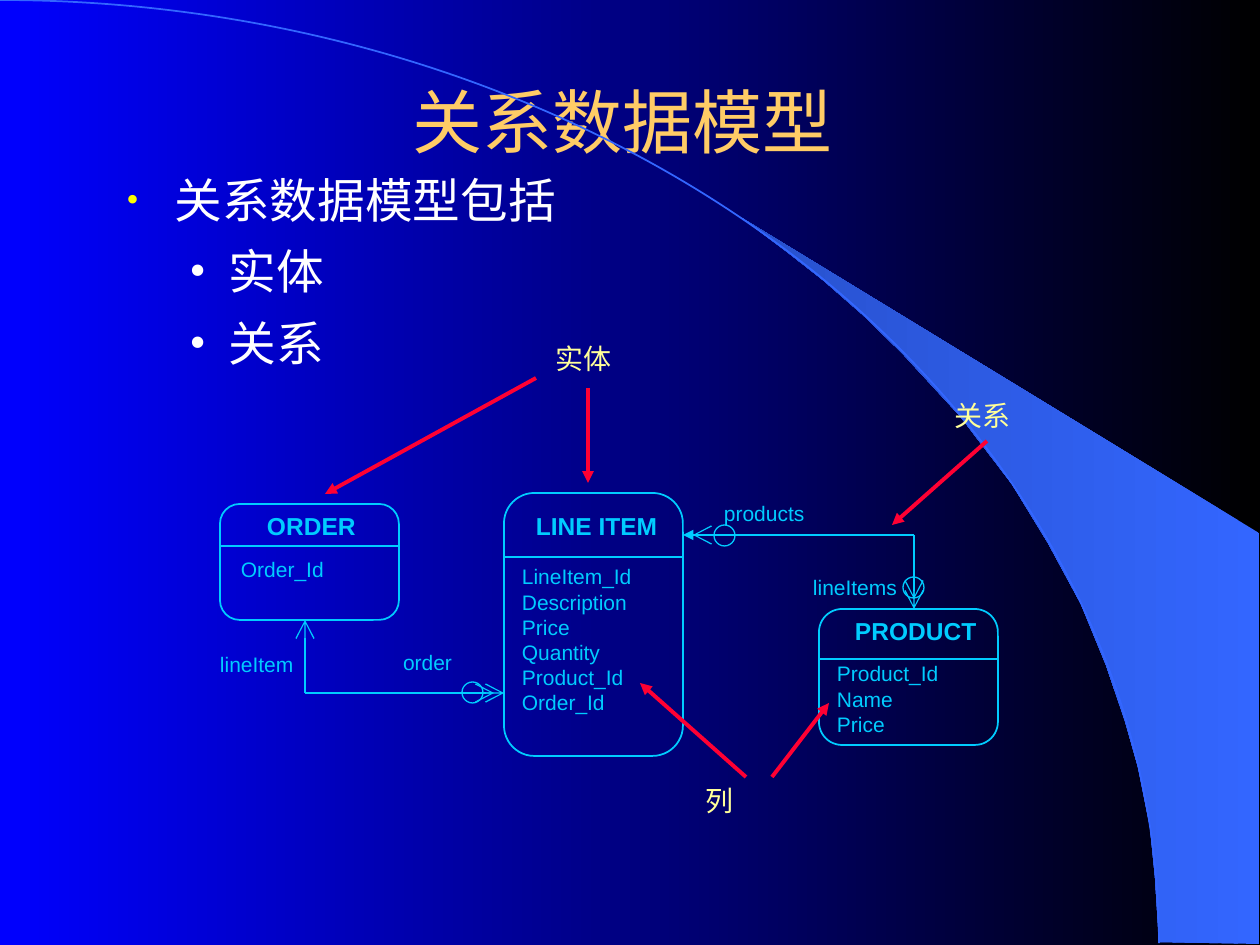
from dataclasses import dataclass

from lxml.etree import SubElement
from pptx import Presentation
from pptx.dml.color import RGBColor
from pptx.enum.shapes import MSO_CONNECTOR, MSO_SHAPE as Preset
from pptx.enum.text import MSO_ANCHOR as Anchor, MSO_AUTO_SIZE as AutoSize, PP_ALIGN as Align
from pptx.oxml.ns import qn
from pptx.util import Pt

PX = 914400 / 126  # EMU in one px
WIDTH, HEIGHT = 1260, 945
TITLE_ONLY = 5


@dataclass(frozen=True)
class Theme:
    black: str = "000000"
    blue: str = "0000FF"
    arc: str = "3366FF"
    arc_dark: str = "2851CC"
    title: str = "FFCC66"
    body: str = "FFFFFF"
    bullet: str = "FFFF00"
    diagram: str = "00CCFF"
    callout: str = "FFFF99"
    pointer: str = "FF0033"
    sans: str = "Arial"
    serif: str = "Times New Roman"
    title_size: float = 40
    body_size: float = 27.2
    callout_size: float = 16
    entity_size: float = 14
    label_size: float = 12


THEME = Theme()
TITLE = dict(name=THEME.sans, size=Pt(THEME.title_size)), THEME.title
BODY = dict(name=THEME.serif, size=Pt(THEME.body_size)), THEME.body
ENTITY = dict(name=THEME.sans, size=Pt(THEME.entity_size), bold=True), THEME.diagram
LABEL = dict(name=THEME.sans, size=Pt(THEME.label_size)), THEME.diagram
CALLOUT = dict(name=THEME.sans, size=Pt(THEME.callout_size)), THEME.callout

# Arrowheads
CROW_FOOT = dict(type="arrow", w="lg", len="lg")
TRIANGLE = dict(type="triangle")

# Name, frame, divider y, name box, attribute box, attributes
ENTITIES = [
    ("ORDER", (220, 504, 179, 116), 546, (252, 503, 118, 44),
     (226, 549, 112, 40), ["Order_Id"]),
    ("LINE ITEM", (504, 493, 179, 263), 557, (521, 503, 151, 44), (507, 556, 175, 166),
     ["LineItem_Id", "Description", "Price", "Quantity", "Product_Id", "Order_Id"]),
    ("PRODUCT", (819, 609, 179, 136), 659, (840, 608, 151, 44),
     (822, 653, 131, 91), ["Product_Id", "Name", "Price"]),
]
# Start, end, arrowhead at the end
RELATIONS = [
    ((305, 693), (305, 620), CROW_FOOT),
    ((305, 693), (504, 693), CROW_FOOT),
    ((315, 693), (494, 693), CROW_FOOT),
    ((914, 535), (683, 535), TRIANGLE),
    ((861, 535), (693, 535), CROW_FOOT),
    ((914, 535), (914, 609), CROW_FOOT),
    ((914, 567), (914, 599), CROW_FOOT),
]
RINGS = [(462, 682), (714, 525), (903, 577)]
RING_SIZE = 21
ROLES = [
    ("lineItem", (205, 644, 103, 40)),
    ("order", (388, 642, 79, 40)),
    ("products", (709, 493, 111, 40)),
    ("lineItems", (798, 567, 113, 40)),
]
CALLOUTS = [
    ("实体", (541, 334, 86, 49)),
    ("关系", (940, 391, 86, 49)),
    ("列", (690, 776, 58, 49)),
]
POINTERS = [
    ((588, 388), (588, 483)),
    ((536, 378), (325, 494)),
    ((987, 441), (892, 525)),
    ((746, 777), (640, 683)),
    ((772, 777), (829, 703)),
]
SWOOSH = [
    (1159, 942), (1259, 944), (1259, 533), (742, 218), (786, 251), (823, 280),
    (863, 315), (902, 353), (960, 416), (1012, 484), (1048, 543), (1081, 604),
    (1106, 665), (1125, 721), (1138, 767), (1150, 827), (1155, 877),
]
# Text, left margin, hanging indent, bullet colour, bullet size in percent
POINTS = [
    ("关系数据模型包括", 48, 48, THEME.bullet, 75),
    ("实体", 102, 39, THEME.body, 100),
    ("关系", 102, 39, THEME.body, 100),
]


def emu(*lengths):
    return [round(length * PX) for length in lengths]


def set_all(target, values):
    for name, value in values.items():
        setattr(target, name, value)


def set_gradient(fill, colors):
    fill.gradient()
    fill.gradient_angle = 180
    for stop, color in zip(fill.gradient_stops, colors):
        stop.color.rgb = RGBColor.from_string(color)


def set_line(shape, color, width):
    shape.line.color.rgb = RGBColor.from_string(color)
    shape.line.width = Pt(width)


def add_span(para, text, style):
    values, color = style
    span = para.add_run()
    span.text = text
    set_all(span.font, values)
    span.font.color.rgb = RGBColor.from_string(color)


def add_text(page, frame, lines, style):
    box = page.shapes.add_textbox(*emu(*frame))
    side, end = emu(15, 8)
    set_all(box.text_frame, dict(
        word_wrap=True, auto_size=AutoSize.NONE, margin_left=side,
        margin_right=0, margin_top=end, margin_bottom=end))
    for index, line in enumerate(lines):
        para = box.text_frame.add_paragraph() if index else box.text_frame.paragraphs[0]
        add_span(para, line, style)


def add_line(page, start, end, color, width, tip=None):
    line = page.shapes.add_connector(MSO_CONNECTOR.STRAIGHT, *emu(*start, *end))
    set_line(line, color, width)
    properties = line._element.spPr
    if tip:
        SubElement(properties.find(qn("a:ln")), qn("a:tailEnd"), **tip)
    SubElement(properties, qn("a:effectLst"))


def add_outline(page, preset, frame, color, width):
    shape = page.shapes.add_shape(preset, *emu(*frame))
    shape.shadow.inherit = False
    shape.fill.background()
    set_line(shape, color, width)
    return shape


def add_backdrop(page):
    set_gradient(page.background.fill, (THEME.black, THEME.blue))
    builder = page.shapes.build_freeform(*SWOOSH[0], scale=PX)
    builder.add_line_segments(SWOOSH[1:], close=True)
    swoosh = builder.convert_to_shape()
    swoosh.shadow.inherit = False
    set_gradient(swoosh.fill, (THEME.arc, THEME.arc_dark))
    swoosh.line.fill.background()
    # Upper right quarter of an ellipse centred on the lower left corner
    add_outline(page, Preset.ARC, (-1159, 0, 2318, 1886), THEME.arc, 1)


def add_title(page, text):
    title = page.shapes.title
    set_all(title, dict(zip(("left", "top", "width", "height"), emu(95, 84, 1071, 73))))
    set_all(title.text_frame, dict(
        vertical_anchor=Anchor.MIDDLE, word_wrap=True, auto_size=AutoSize.NONE))
    para = title.text_frame.paragraphs[0]
    para.alignment = Align.CENTER
    add_span(para, text, TITLE)


def add_points(page):
    frame = page.shapes.add_textbox(*emu(114, 165, 1104, 219)).text_frame
    frame.word_wrap = True
    for index, (text, margin, hanging, color, percent) in enumerate(POINTS):
        para = frame.add_paragraph() if index else frame.paragraphs[0]
        properties = para._p.get_or_add_pPr()
        properties.set("marL", str(emu(margin)[0]))
        properties.set("indent", str(emu(-hanging)[0]))
        SubElement(SubElement(properties, qn("a:buClr")), qn("a:srgbClr"), val=color)
        SubElement(properties, qn("a:buSzPct"), val=str(percent * 1000))
        SubElement(properties, qn("a:buFont"), typeface=THEME.serif)
        SubElement(properties, qn("a:buChar"), char="•")
        if index:
            para.space_before = Pt(8)
        add_span(para, text, BODY)


def add_entity(page, name, frame, divider, name_box, attribute_box, attributes):
    left, _, width, _ = frame
    box = add_outline(page, Preset.ROUNDED_RECTANGLE, frame, THEME.diagram, 1)
    box.adjustments[0] = 0.17
    add_line(page, (left, divider), (left + width, divider), THEME.diagram, 1)
    add_text(page, name_box, [name], ENTITY)
    add_text(page, attribute_box, attributes, LABEL)


def main():
    deck = Presentation()
    deck.slide_width, deck.slide_height = emu(WIDTH, HEIGHT)
    page = deck.slides.add_slide(deck.slide_layouts[TITLE_ONLY])
    add_backdrop(page)
    add_title(page, "关系数据模型 ")
    add_points(page)
    # Entities and the relations between them
    for entity in ENTITIES:
        add_entity(page, *entity)
    for start, end, tip in RELATIONS:
        add_line(page, start, end, THEME.diagram, 0.75, tip)
    for corner in RINGS:
        add_outline(page, Preset.FLOWCHART_CONNECTOR, (*corner, RING_SIZE, RING_SIZE),
                    THEME.diagram, 0.75)
    for text, frame in ROLES:
        add_text(page, frame, [text], LABEL)
    # Callouts with their pointers
    for text, frame in CALLOUTS:
        add_text(page, frame, [text], CALLOUT)
    for start, end in POINTERS:
        add_line(page, start, end, THEME.pointer, 2.25, TRIANGLE)
    deck.save("out.pptx")


if __name__ == "__main__":
    main()
